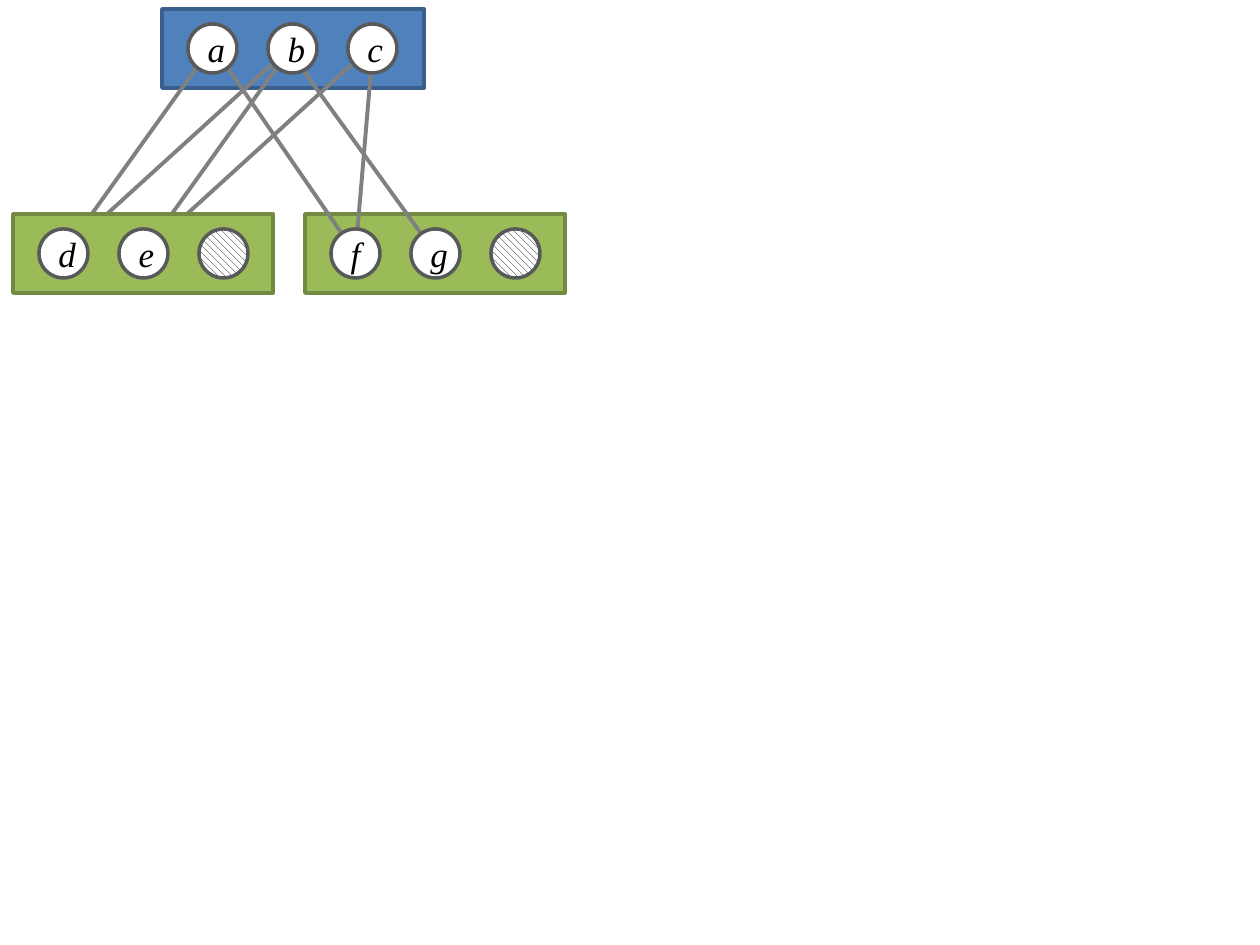
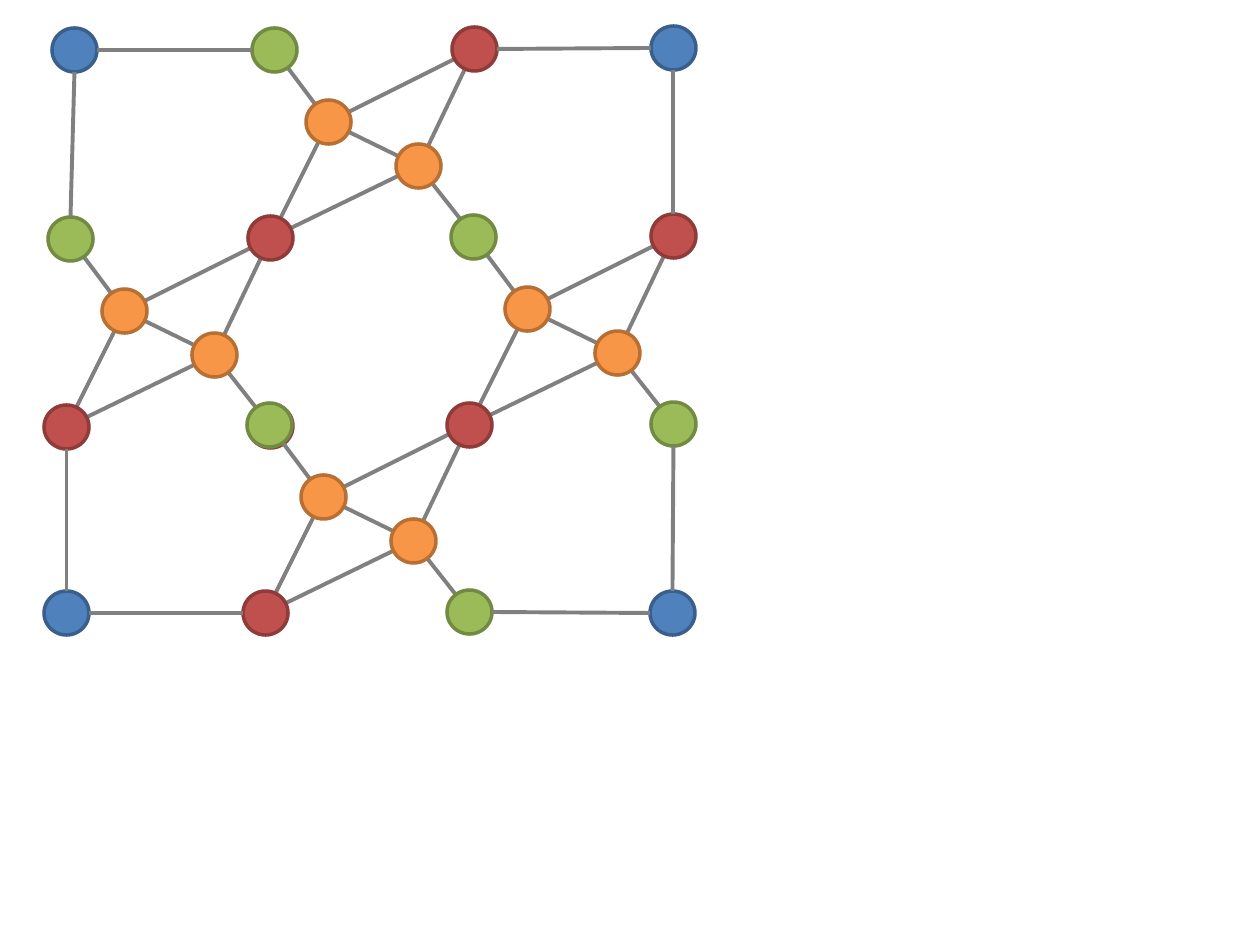
import pptx
import pptx.dml.color
import pptx.enum.dml
import pptx.enum.shapes
import pptx.enum.text
import pptx.oxml.ns
import pptx.util
from lxml import etree

EMU_PER_PX = 914400 / 126
COLOURS = {
    "blue": "4F81BD", "blue edge": "3A5F8C",
    "green": "9BBB59", "green edge": "738A42",
    "red": "C0504D", "red edge": "8E3B39",
    "orange": "F79646", "orange edge": "B76F34",
    "white": "FFFFFF", "white edge": "595959",
    "link": "808080", "ink": "000000",
}
LETTER_FORMAT = {"name": "Times New Roman", "size": pptx.util.Pt(20), "italic": True}
BLANK_LAYOUT = 6
RECTANGLE = pptx.enum.shapes.MSO_SHAPE.RECTANGLE
OVAL = pptx.enum.shapes.MSO_SHAPE.OVAL

# Two-level diagram: boxes of letter slots
SLOT_SIZE, SLOT_PITCH, SLOT_INSET, SLOT_TOP = 49, 80, 26, 15
PARENT_BOX = (162, 9, 262, 79)
LEFT_BOX = (13, 214, 260, 79)
RIGHT_BOX = (305, 214, 260, 79)
# parent slot, child box, child slot, shift of the line's start down from the slot's centre
LETTER_LINKS = [
    (1, RIGHT_BOX, 1, 7), (0, LEFT_BOX, 0, -3), (1, LEFT_BOX, 0, -3),
    (1, LEFT_BOX, 1, -3), (2, LEFT_BOX, 1, -3), (0, RIGHT_BOX, 0, -3),
    (2, RIGHT_BOX, 0, 4),
]

# Network: four equal cells whose nodes lie at fixed offsets
NODE_WIDTH, NODE_HEIGHT = 45, 44
CELL_OFFSETS = {
    "top left": (0, 0), "top right": (200, -1),
    "bottom left": (-4, 188), "bottom right": (200, 187),
    "upper": (54, 72), "lower": (144, 116),
}
CELL_LINKS = [
    ("top right", "upper"), ("upper", "bottom left"), ("top left", "upper"),
    ("lower", "upper"), ("top right", "lower"), ("bottom right", "lower"),
    ("lower", "bottom left"),
]
CELLS = {
    "north": ((252, 28), {"top left": "green", "top right": "red"}),
    "west": ((48, 217), {"top left": "green", "bottom left": "red",
                         "bottom right": "red", "top right": "red"}),
    "south": ((247, 403), {"top left": "green", "bottom left": "red",
                           "bottom right": "green"}),
    "east": ((451, 215), {"top left": "green", "bottom left": "red",
                          "bottom right": "green", "top right": "red"}),
}
CORNERS = {"top left": (52, 28), "bottom left": (44, 591),
           "bottom right": (650, 591), "top right": (651, 26)}
# corner, its side, the cell and node that the side faces
CORNER_LINKS = [
    ("top left", "bottom", "west", "top left"),
    ("top left", "right", "north", "top left"),
    ("top right", "left", "north", "top right"),
    ("top right", "bottom", "east", "top right"),
    ("bottom right", "top", "east", "bottom right"),
    ("bottom right", "left", "south", "bottom right"),
    ("bottom left", "right", "south", "bottom left"),
    ("bottom left", "top", "west", "bottom left"),
]
SIDES = {"top": (0.5, 0), "bottom": (0.5, 1), "left": (0, 0.5), "right": (1, 0.5)}
OPPOSITE = {"top": "bottom", "bottom": "top", "left": "right", "right": "left"}


def px(length):
    return pptx.util.Emu(round(length * EMU_PER_PX))


def rgb(name):
    return pptx.dml.color.RGBColor.from_string(COLOURS[name])


def add_figure(shapes, kind, box, colour):
    figure = shapes.add_shape(kind, *map(px, box))
    figure.shadow.inherit = False
    figure.fill.solid()
    figure.fill.fore_color.rgb = rgb(colour)
    figure.line.color.rgb = rgb(colour + " edge")
    figure.line.width = pptx.util.Pt(2)
    return figure


def add_link(shapes, start, end):
    link = shapes.add_connector(pptx.enum.shapes.MSO_CONNECTOR.STRAIGHT,
                                *map(px, (*start, *end)))
    link.line.color.rgb = rgb("link")
    link.line.width = pptx.util.Pt(2.25)
    etree.SubElement(link._element.spPr, pptx.oxml.ns.qn("a:effectLst"))


def side_point(box, side):
    left, top, width, height = box
    across, down = SIDES[side]
    return left + across * width, top + down * height


def slot_box(box, index):
    return (box[0] + SLOT_INSET + index * SLOT_PITCH, box[1] + SLOT_TOP,
            SLOT_SIZE, SLOT_SIZE)


def slot_centre(box, index):
    left, top, width, height = slot_box(box, index)
    return left + width / 2, top + height / 2


def add_slots(shapes, box, letters):
    """Fill a box with three circles; those without a letter are hatched."""
    for index in range(3):
        slot = add_figure(shapes, OVAL, slot_box(box, index), "white")
        if index < len(letters):
            para = slot.text_frame.paragraphs[0]
            para.alignment = pptx.enum.text.PP_ALIGN.CENTER
            span = para.add_run()
            span.text = letters[index]
            for name, value in LETTER_FORMAT.items():
                setattr(span.font, name, value)
            span.font.color.rgb = rgb("ink")
        else:
            slot.fill.patterned()
            slot.fill.pattern = pptx.enum.dml.MSO_PATTERN.WIDE_DOWNWARD_DIAGONAL
            slot.fill.fore_color.rgb = rgb("ink")
            slot.fill.back_color.rgb = rgb("white")


def build_letter_tree(page):
    shapes = page.shapes
    add_figure(shapes, RECTANGLE, RIGHT_BOX, "green")
    add_figure(shapes, RECTANGLE, PARENT_BOX, "blue")
    for parent, child_box, child, shift in LETTER_LINKS:
        x, y = slot_centre(PARENT_BOX, parent)
        add_link(shapes, (x, y + shift), slot_centre(child_box, child))
    add_slots(shapes, RIGHT_BOX, "fg")
    add_slots(shapes, PARENT_BOX, "abc")
    # The left box hides the ends of the links that reach it
    add_figure(shapes, RECTANGLE, LEFT_BOX, "green")
    add_slots(shapes, LEFT_BOX, "de")


def cell_node_box(origin, node):
    across, down = CELL_OFFSETS[node]
    return origin[0] + across, origin[1] + down, NODE_WIDTH, NODE_HEIGHT


def cell_node_centre(origin, node):
    left, top, width, height = cell_node_box(origin, node)
    return left + width / 2, top + height / 2


def add_cell(page, origin, outer_nodes):
    """Group one cell's links, the outer nodes it owns and its two inner nodes."""
    shapes = page.shapes.add_group_shape().shapes
    for start, end in CELL_LINKS:
        add_link(shapes, cell_node_centre(origin, start), cell_node_centre(origin, end))
    nodes = {**outer_nodes, "upper": "orange", "lower": "orange"}
    for node, colour in nodes.items():
        add_figure(shapes, OVAL, cell_node_box(origin, node), colour)


def build_network(page):
    for origin, outer_nodes in CELLS.values():
        add_cell(page, origin, outer_nodes)
    corner_boxes = {name: (*place, NODE_WIDTH, NODE_HEIGHT)
                    for name, place in CORNERS.items()}
    for box in corner_boxes.values():
        add_figure(page.shapes, OVAL, box, "blue")
    for corner, side, cell, node in CORNER_LINKS:
        node_box = cell_node_box(CELLS[cell][0], node)
        add_link(page.shapes, side_point(corner_boxes[corner], side),
                 side_point(node_box, OPPOSITE[side]))


def main():
    deck = pptx.Presentation()
    deck.slide_width, deck.slide_height = px(1260), px(945)
    for build in (build_letter_tree, build_network):
        build(deck.slides.add_slide(deck.slide_layouts[BLANK_LAYOUT]))
    deck.save("out.pptx")


if __name__ == "__main__":
    main()
